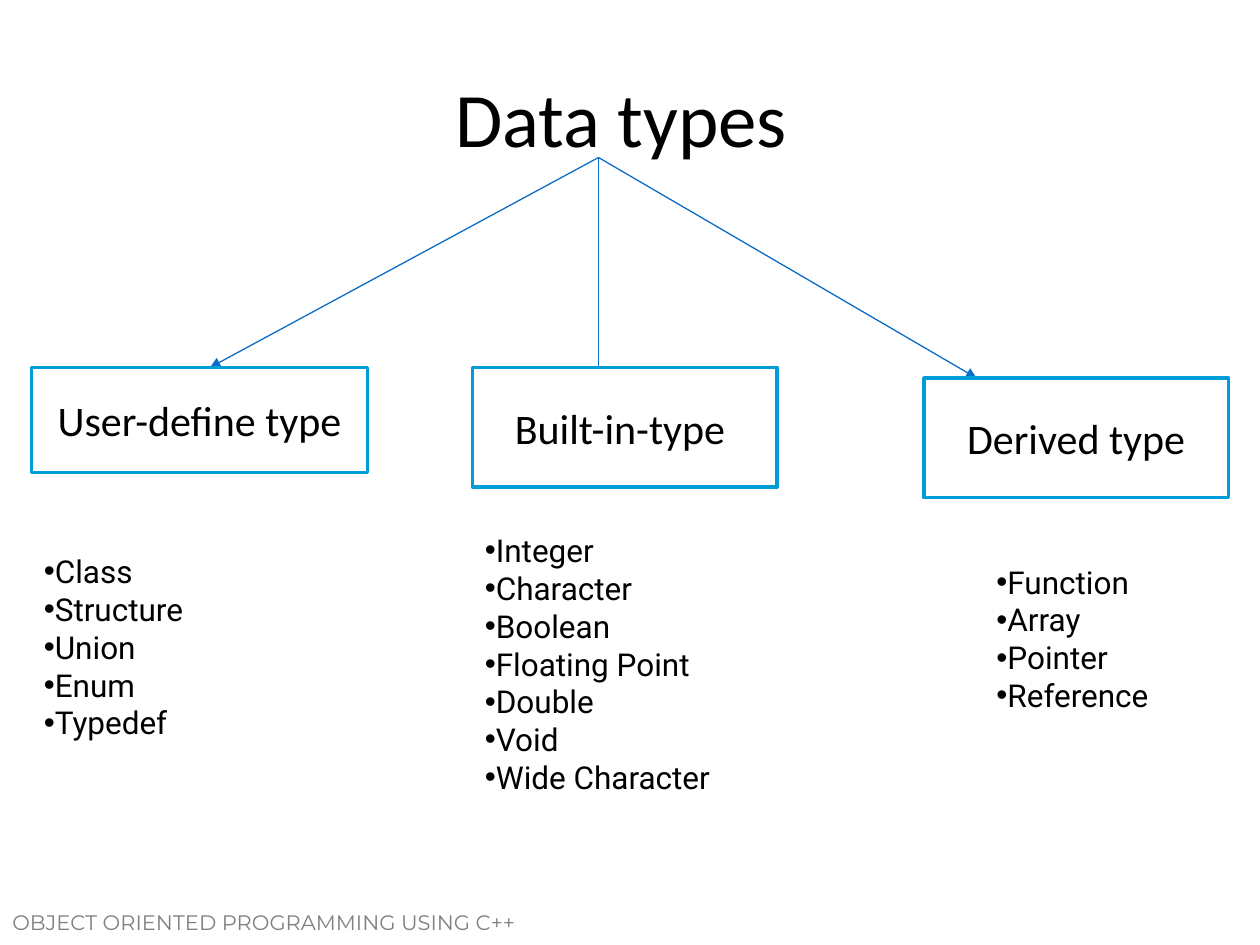
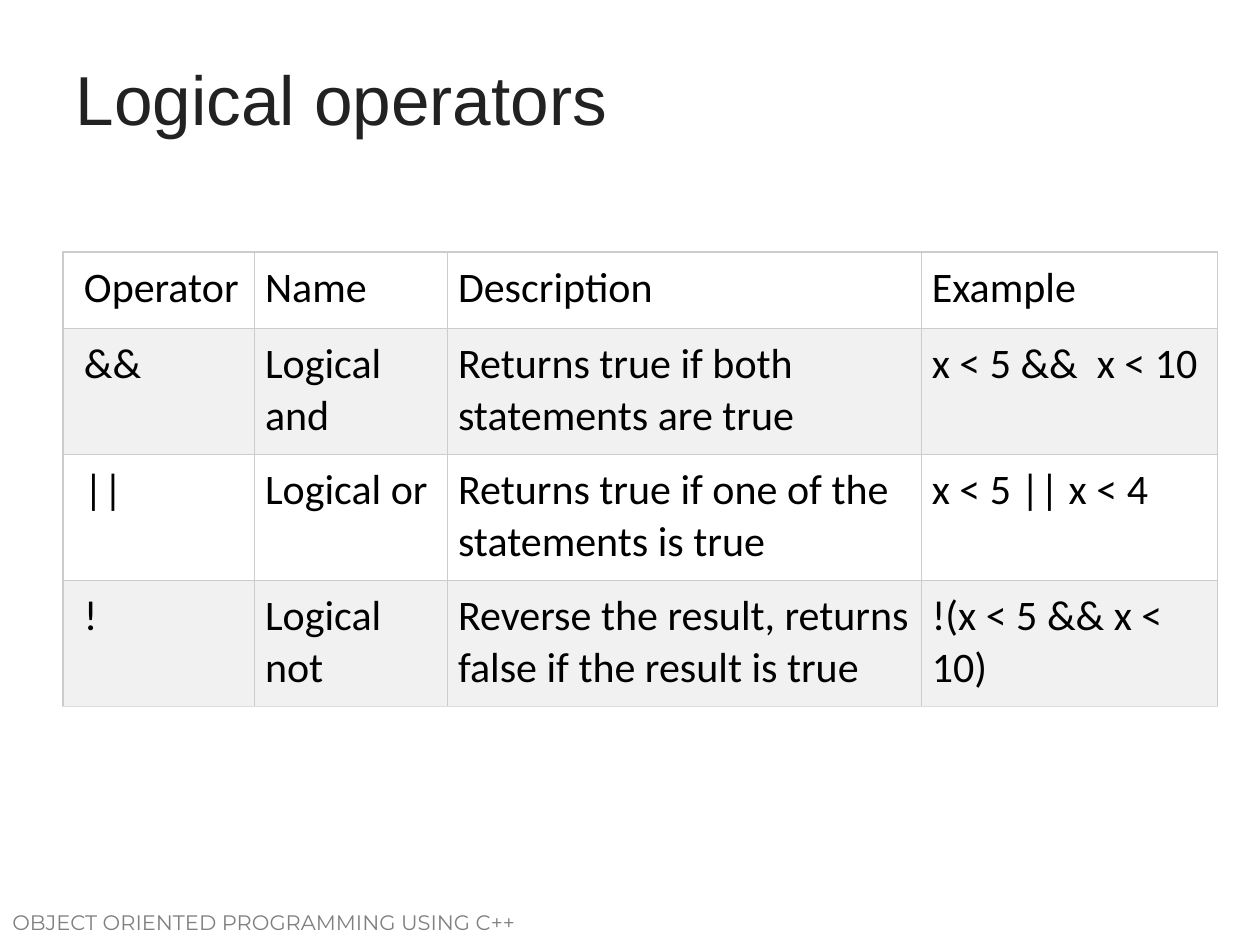
from pptx import Presentation
from pptx.util import Pt
from pptx.dml.color import RGBColor
from pptx.enum.shapes import MSO_SHAPE as Shape, MSO_CONNECTOR as Link
from pptx.enum.text import PP_ALIGN as Align, MSO_ANCHOR as Anchor, MSO_AUTO_SIZE as Auto
from pptx.oxml.ns import qn
from lxml.etree import SubElement

BLACK, WHITE, GRAY, DARK = "000000", "FFFFFF", "808080", "222222"
BLUE, CYAN, BAND = "0A6DC6", "009DD9", "F1F1F1"
RULE, BASE = "CCCCCC", "DDDDDD"

FOOT = dict(size=12, name="Montserrat", color=GRAY)
LIST = dict(size=18, name="Roboto", color=BLACK)
BODY = dict(size=24, name="Calibri", color=BLACK)
HEAD = dict(size=44, name="Calibri", color=BLACK)
PLAIN = dict(size=39.6, name="Arial", color=DARK)

FOOTER = "OBJECT ORIENTED PROGRAMMING USING C++"
ROOT = (342, 90)
TYPES = [
    dict(name="User-define type", box=(18, 210, 192, 60), tip=(120, 210),
         area=(18, 312, 95, 160),
         items=["Class", "Structure", "Union", "Enum", "Typedef"]),
    dict(name="Built-in-type ", box=(270, 210, 174, 68.4), tip=(342, 216),
         area=(270, 300, 147, 181.5),
         items=["Integer", "Character", "Boolean", "Floating Point",
                "Double", "Void", "Wide Character"]),
    dict(name="Derived type", box=(528, 216, 174, 68.4), tip=(558, 216),
         area=(562.3, 318, 104.4, 116.6),
         items=["Function", "Array", "Pointer", "Reference"]),
]
ROWS = [
    ("Operator", "Name", "Description", "Example"),
    ("&&\u00a0", "Logical and", "Returns true if both statements are true",
     "x < 5 &&\u00a0 x < 10"),
    ("||\u00a0", "Logical or", "Returns true if one of the statements is true",
     "x < 5 || x < 4"),
    ("!", "Logical not", "Reverse the result, returns false if the result is true",
     "!(x < 5 && x < 10)"),
]
COLS = [109.5, 110.3, 270.7, 169.5]
HIGH = [43.7, 72, 72, 72]


def pts(nums):
    return [Pt(n) for n in nums]


def rgb(code):
    return RGBColor.from_string(code)


def paint(fill, code):
    fill.solid()
    fill.fore_color.rgb = rgb(code)


def write(frame, lines, style, align=Align.LEFT):
    frame.text = "\n".join(lines)
    look = dict(size=Pt(style["size"]), name=style["name"])
    for para in frame.paragraphs:
        para.alignment = align
        for run in para.runs:
            for key, val in look.items():
                setattr(run.font, key, val)
            run.font.color.rgb = rgb(style["color"])


def add_text(slide, area, lines, style, wrap=True):
    box = slide.shapes.add_textbox(*pts(area))
    box.text_frame.word_wrap = wrap
    write(box.text_frame, lines, style)
    return box


def add_slide(title, area, style, align):
    slide = deck.slides.add_slide(layout)
    head = slide.shapes.title
    head.left, head.top, head.width, head.height = pts(area)
    frame = head.text_frame
    frame.auto_size = Auto.NONE
    frame.vertical_anchor = Anchor.MIDDLE
    write(frame, [title], style, align)
    return slide


def add_arrow(slide, start, end):
    link = slide.shapes.add_connector(Link.STRAIGHT, *pts(start + end))
    link.line.color.rgb = rgb(BLUE)
    link.line.width = Pt(0.75)
    SubElement(link.line._get_or_add_ln(), qn("a:tailEnd"), type="triangle")
    SubElement(link.element.spPr, qn("a:effectLst"))


def add_box(slide, area, name):
    box = slide.shapes.add_shape(Shape.RECTANGLE, *pts(area))
    box.shadow.inherit = False
    paint(box.fill, WHITE)
    box.line.color.rgb = rgb(CYAN)
    box.line.width = Pt(2)
    box.text_frame.vertical_anchor = Anchor.MIDDLE
    write(box.text_frame, [name], BODY, Align.CENTER)


def add_list(slide, area, items):
    box = add_text(slide, area, items, LIST, wrap=False)
    box.text_frame.auto_size = Auto.SHAPE_TO_FIT_TEXT
    for para in box.text_frame.paragraphs:
        props = para._p.get_or_add_pPr()
        SubElement(props, qn("a:buFont"), typeface="Arial")
        SubElement(props, qn("a:buChar"), char="\u2022")


def edge(cell, codes):
    props = cell._tc.get_or_add_tcPr()
    for side, code in codes.items():
        line = SubElement(props, qn("a:ln" + side), w=str(Pt(0.75)))
        fill = SubElement(line, qn("a:solidFill"))
        SubElement(fill, qn("a:srgbClr"), val=code)


def add_grid(slide, left, top):
    shape = slide.shapes.add_table(len(ROWS), len(COLS),
                                   *pts((left, top, sum(COLS), sum(HIGH))))
    grid = shape.table
    grid.first_row = grid.horz_banding = False
    for col, wide in zip(grid.columns, COLS):
        col.width = Pt(wide)
    for r, (row, high) in enumerate(zip(ROWS, HIGH)):
        grid.rows[r].height = Pt(high)
        low = BASE if r == len(ROWS) - 1 else RULE
        for c, text in enumerate(row):
            cell = grid.cell(r, c)
            pads = dict(left=6 if c else 12, right=6, top=6, bottom=6)
            for side, pad in pads.items():
                setattr(cell, "margin_" + side, Pt(pad))
            edge(cell, dict(L=RULE, R=RULE, T=RULE, B=low))
            paint(cell.fill, BAND if r % 2 else WHITE)
            write(cell.text_frame, [text], BODY)


deck = Presentation()
deck.slide_width, deck.slide_height = pts((720, 540))
layout = deck.slide_layouts[5]
paint(deck.slide_master.background.fill, WHITE)

tree = add_slide("Data types ", (36, 21.6, 648, 90), HEAD, Align.CENTER)
foot = add_text(tree, (0, 516, 360, 30), [FOOTER], FOOT)
layout.shapes.element.append(foot.element)
for kind in TYPES:
    add_arrow(tree, ROOT, kind["tip"])
for kind in TYPES:
    add_box(tree, kind["box"], kind["name"])
    add_list(tree, kind["area"], kind["items"])

logic = add_slide("Logical\u00a0operators", (36, 21.6, 648, 68.4), PLAIN, Align.LEFT)
add_grid(logic, 36, 144)

deck.save("out.pptx")
